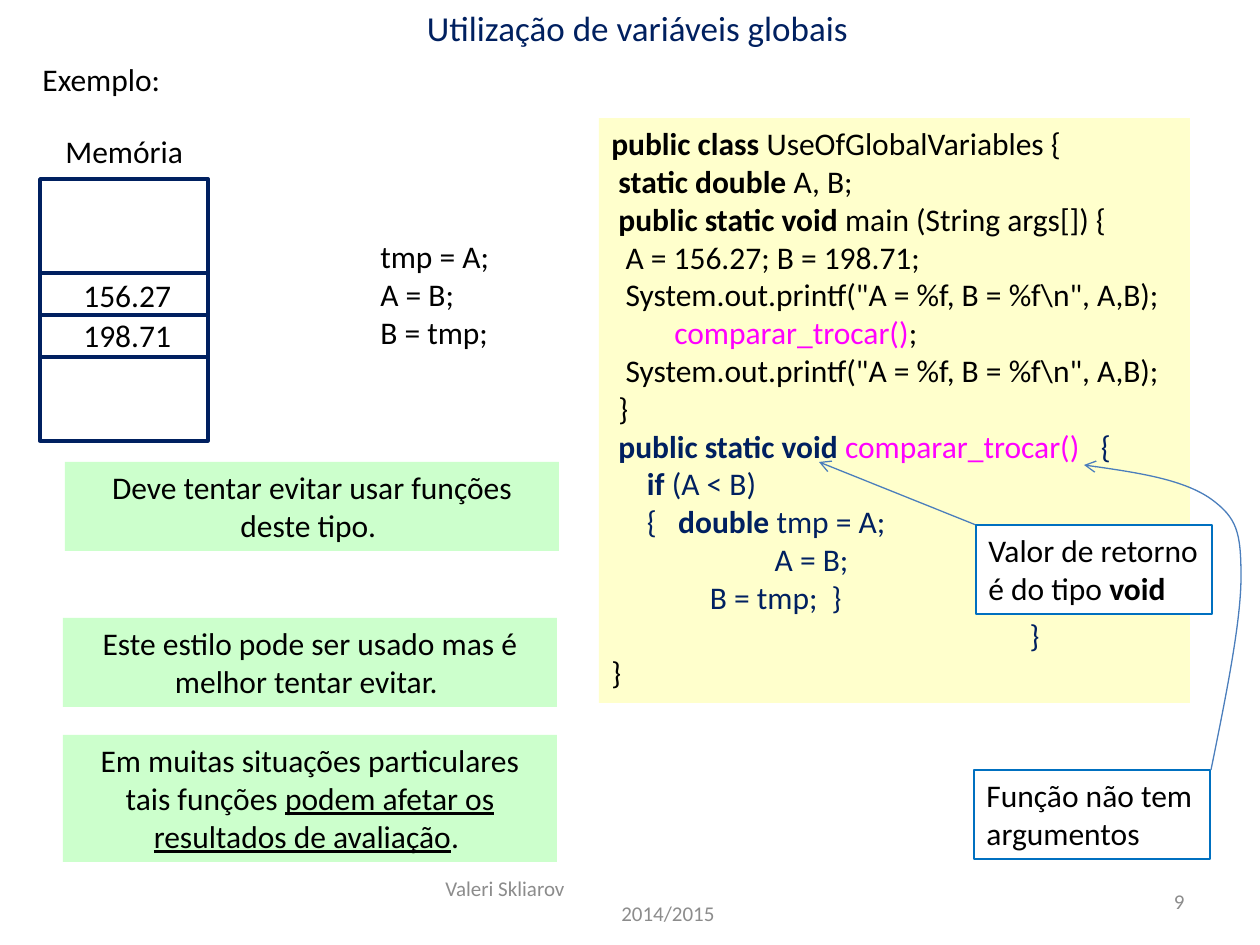
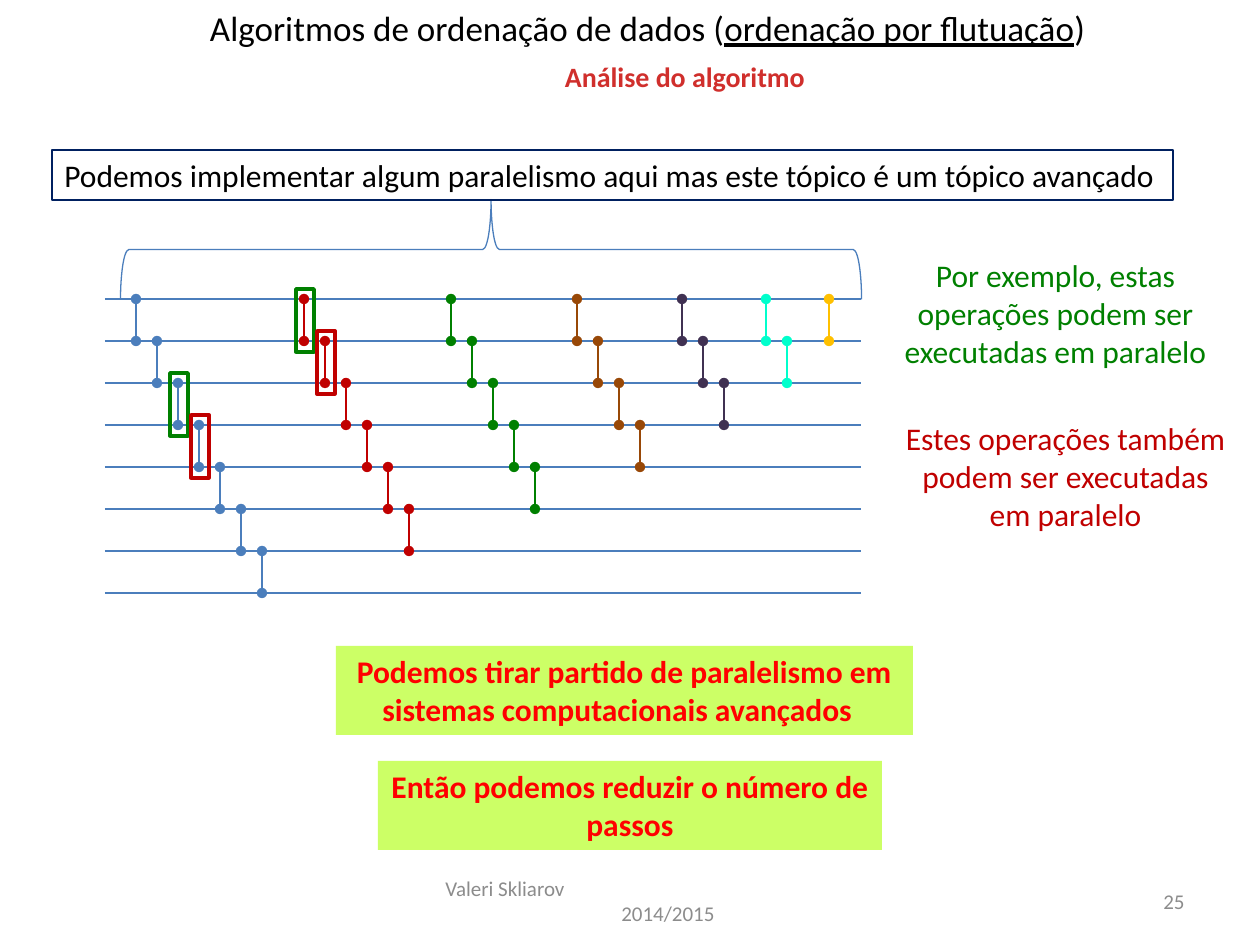
import lxml.etree
import pptx
import pptx.dml.color
import pptx.enum.shapes
import pptx.enum.text
import pptx.util
from pptx.oxml.ns import qn

EMU_PER_PX = 914400 / 126
PAGE_WIDTH, PAGE_HEIGHT = 1260, 945
TITLE_ONLY = 5
FONT = "Calibri"
COLOURS = {
    "black": "000000", "white": "FFFFFF", "navy": "002060", "grey": "8C8C8C",
    "magenta": "FF00FF", "cream": "FFFFCC", "mint": "CCFFCC", "lime": "CCFF66",
    "blue": "4B7EBC", "azure": "0070C0", "crimson": "D02F2C", "red": "FF0000",
    "dark red": "C00000", "green": "008000", "brown": "984807",
    "purple": "403152", "aqua": "00FFCC", "amber": "FFC000",
}
ALIGN = pptx.enum.text.PP_ALIGN
SHAPE = pptx.enum.shapes.MSO_SHAPE


def emu(px):
    return pptx.util.Emu(round(px * EMU_PER_PX))


def rgb(name):
    return pptx.dml.color.RGBColor.from_string(COLOURS[name])


class SlideBuilder:
    """Holds the shared style and the page being drawn."""

    def __init__(self):
        self.deck = pptx.Presentation()
        self.deck.slide_width = emu(PAGE_WIDTH)
        self.deck.slide_height = emu(PAGE_HEIGHT)
        self.page = None

    def new_page(self, number, title, place, colour):
        """Start a page with its title, footer and number."""
        layout = self.deck.slide_layouts[TITLE_ONLY]
        self.page = self.deck.slides.add_slide(layout)
        box = self.page.shapes.title
        box.left, box.top, box.width, box.height = map(emu, place)
        self.fill_text(box, [title], colour, 20, ALIGN.CENTER, wrap=False)

        footer = self.text((431, 876, 399, 50), [["Valeri Skliarov"], ["2014/2015"]],
                           "grey", 12, middle=True)
        for para, indent in zip(footer.text_frame.paragraphs, (2, 178)):
            para._p.get_or_add_pPr().set("marL", str(emu(indent)))
        self.text((903, 876, 294, 50), [[str(number)]], "grey", 12,
                  ALIGN.RIGHT, middle=True)

    def fill_text(self, box, paragraphs, colour, size, align, wrap=True, middle=False):
        """Fill a box; a span is a string or (string, style letters, colour)."""
        frame = box.text_frame
        frame.word_wrap = wrap
        frame.auto_size = pptx.enum.text.MSO_AUTO_SIZE.NONE
        anchor = pptx.enum.text.MSO_ANCHOR
        frame.vertical_anchor = anchor.MIDDLE if middle else anchor.TOP
        frame.margin_left = frame.margin_right = pptx.util.Inches(0.1)
        frame.margin_top = frame.margin_bottom = pptx.util.Inches(0.05)
        for index, spans in enumerate(paragraphs):
            para = frame.add_paragraph() if index else frame.paragraphs[0]
            para.alignment = align
            for item in spans:
                words, style, tint = item if isinstance(item, tuple) else (item, "", colour)
                span = para.add_run()
                span.text = words
                span.font.name = FONT
                span.font.size = pptx.util.Pt(size)
                span.font.bold = "b" in style
                span.font.underline = "u" in style
                span.font.color.rgb = rgb(tint)

    def text(self, place, paragraphs, colour="black", size=18, align=ALIGN.LEFT,
             fill=None, line=None, wrap=True, middle=False):
        box = self.page.shapes.add_textbox(*map(emu, place))
        if fill:
            box.fill.solid()
            box.fill.fore_color.rgb = rgb(fill)
        if line:
            self.stroke(box, line)
        self.fill_text(box, paragraphs, colour, size, align, wrap, middle)
        return box

    def stroke(self, item, colour, width=0.75, head=None, tail=None):
        item.line.color.rgb = rgb(colour)
        item.line.width = pptx.util.Pt(width)
        outline = item.line._get_or_add_ln()
        for tag, kind in (("a:headEnd", head), ("a:tailEnd", tail)):
            if kind:
                lxml.etree.SubElement(outline, qn(tag), type=kind)

    def outline(self, kind, place, colour, width=0.75, rotation=0):
        """Unfilled preset shape."""
        shape = self.page.shapes.add_shape(kind, *map(emu, place))
        shape.shadow.inherit = False
        shape.fill.background()
        shape.rotation = rotation
        self.stroke(shape, colour, width)

    def line(self, start, end, colour, width=0.75, head=None, tail=None):
        straight = pptx.enum.shapes.MSO_CONNECTOR.STRAIGHT
        link = self.page.shapes.add_connector(straight, *map(emu, start + end))
        self.stroke(link, colour, width, head, tail)
        lxml.etree.SubElement(link._element.spPr, qn("a:effectLst"))

    def curve(self, points, colour, tail=None):
        """Bezier path: a start point, then three points for each curve."""
        points = [tuple(map(emu, point)) for point in points]
        builder = self.page.shapes.build_freeform(*points[0])
        builder.add_line_segments(points[1:], close=False)
        shape = builder.convert_to_shape()
        shape.shadow.inherit = False
        shape.fill.background()
        self.stroke(shape, colour, tail=tail)
        steps = list(shape._element.iter(qn("a:lnTo")))
        route = steps[0].getparent()
        for first in range(0, len(steps), 3):
            bend = lxml.etree.SubElement(route, qn("a:cubicBezTo"))
            for step in steps[first:first + 3]:
                bend.append(step[0])
                route.remove(step)


def global_variables(slide):
    slide.new_page(9, ["Utilização de variáveis globais"], (412, 0, 451, 55), "navy")
    slide.text((30, 54, 145, 50), [["Exemplo:"]], wrap=False)

    # Memory diagram
    slide.outline(SHAPE.RECTANGLE, (40, 179, 168, 262), "navy", 2)
    slide.text((53, 126, 145, 50), [["Memória"]], wrap=False)
    for y in (273, 315, 357):
        slide.line((40, y), (209, y), "navy", 2)
    for y, value in ((270, "156.27"), (310, "198.71")):
        slide.text((71, y, 113, 50), [[value]], wrap=False)
    slide.text((368, 231, 136, 127), [["tmp = A;"], ["A = B;"], ["B = tmp;"]], wrap=False)

    # Program listing
    call = ("comparar_trocar()", "", "magenta")
    show = ['  System.out.printf("A = %f, B = %f\\n", A,B);']
    code = [
        [("public class ", "b", "black"), "UseOfGlobalVariables {"],
        [" ", ("static double", "b", "black"), " A, B;"],
        [" ", ("public static void ", "b", "black"), "main (String args[]) {"],
        ["  A = 156.27; B = 198.71;"],
        show,
        ["\t", call, ";"],
        show,
        [" }"],
        [" ", ("public static void ", "b", "navy"), call, ("   {", "", "navy")],
        ["     ", ("if", "b", "navy"), (" (A < B)", "", "navy")],
        [("     {   ", "", "navy"), ("double ", "b", "navy"), ("tmp = A;", "", "navy")],
        [("                       A = B;", "", "navy")],
        [("\t     B = tmp;  }", "", "navy")],
        [("\t                                                  }", "", "navy")],
        ["}"],
    ]
    slide.text((599, 118, 591, 585), code, fill="cream")

    # Advice
    advice = [
        ((65, 462, 494, 89), ["Deve tentar evitar usar funções deste tipo. "]),
        ((63, 618, 494, 89), ["Este estilo pode ser usado mas é melhor tentar evitar. "]),
        ((63, 735, 494, 127), [
            "Em muitas situações particulares tais funções ",
            ("podem afetar os resultados de avaliação", "u", "black"), ". "]),
    ]
    for place, spans in advice:
        slide.text(place, [spans], align=ALIGN.CENTER, fill="mint")

    # Callouts with arrows into the listing
    slide.line((976, 525), (819, 462), "blue", tail="arrow")
    slide.curve([(1211, 770), (1226, 696), (1241, 622), (1241, 577),
                 (1241, 532), (1237, 518), (1211, 499),
                 (1184, 480), (1134, 472), (1084, 465)], "blue", tail="arrow")
    callouts = [
        ((976, 525, 236, 89), ["Valor de retorno é do tipo ", ("void", "b", "black")]),
        ((974, 770, 236, 89), ["Função não tem argumentos"]),
    ]
    for place, spans in callouts:
        slide.text(place, [spans], fill="white", line="azure")


def sorting_network(slide):
    title = ["Algoritmos de ordenação de dados (",
             ("ordenação por flutuação", "u", "black"), ")"]
    slide.new_page(25, title, (170, 0, 955, 55), "black")
    slide.text((551, 53, 268, 47), [[("Análise do algoritmo", "b", "crimson")]],
               size=16, align=ALIGN.CENTER, wrap=False)

    # Wires
    left, right, top, row, column = 105, 861, 299, 42, 21
    wires = 8
    for wire in range(wires):
        y = top + wire * row
        slide.line((left, y), (right, y), "blue")

    # Comparators: each pass is one shorter than the one before
    marked = {(1, 0): "green", (0, 2): "green", (1, 1): "dark red", (0, 3): "dark red"}
    x = 136
    passes = ("blue", "dark red", "green", "brown", "purple", "aqua", "amber")
    for turn, colour in enumerate(passes):
        for wire in range(wires - 1 - turn):
            y = top + wire * row
            slide.line((x, y), (x, y + row), colour, head="oval", tail="oval")
            if (turn, wire) in marked:
                place = (x - 8, y - 10, 18, 63)
                slide.outline(SHAPE.RECTANGLE, place, marked[turn, wire], 2)
            x += column
        x += column

    # Brace and its statement
    slide.outline(SHAPE.LEFT_BRACE, (441, -121, 100, 741), "blue", rotation=90)
    slide.text((52, 150, 1121, 50), [[
        "Podemos implementar algum paralelismo aqui mas este tópico é um tópico avançado"]],
        line="navy", wrap=False)

    # Remarks beside the network
    remarks = [
        ((882, 250, 347, 127), "green",
         "Por exemplo, estas operações podem ser executadas em paralelo"),
        ((892, 413, 347, 127), "dark red",
         "Estes operações também podem ser executadas em paralelo"),
    ]
    for place, colour, words in remarks:
        slide.text(place, [[words]], colour, align=ALIGN.CENTER)

    # Conclusions
    conclusions = [
        ((336, 646, 577, 89),
         "Podemos tirar partido de paralelismo em sistemas computacionais avançados  "),
        ((378, 761, 504, 89), "Então podemos reduzir o número de passos"),
    ]
    for place, words in conclusions:
        slide.text(place, [[(words, "b", "red")]], align=ALIGN.CENTER, fill="lime")


def main():
    slide = SlideBuilder()
    global_variables(slide)
    sorting_network(slide)
    slide.deck.save("out.pptx")


if __name__ == "__main__":
    main()
